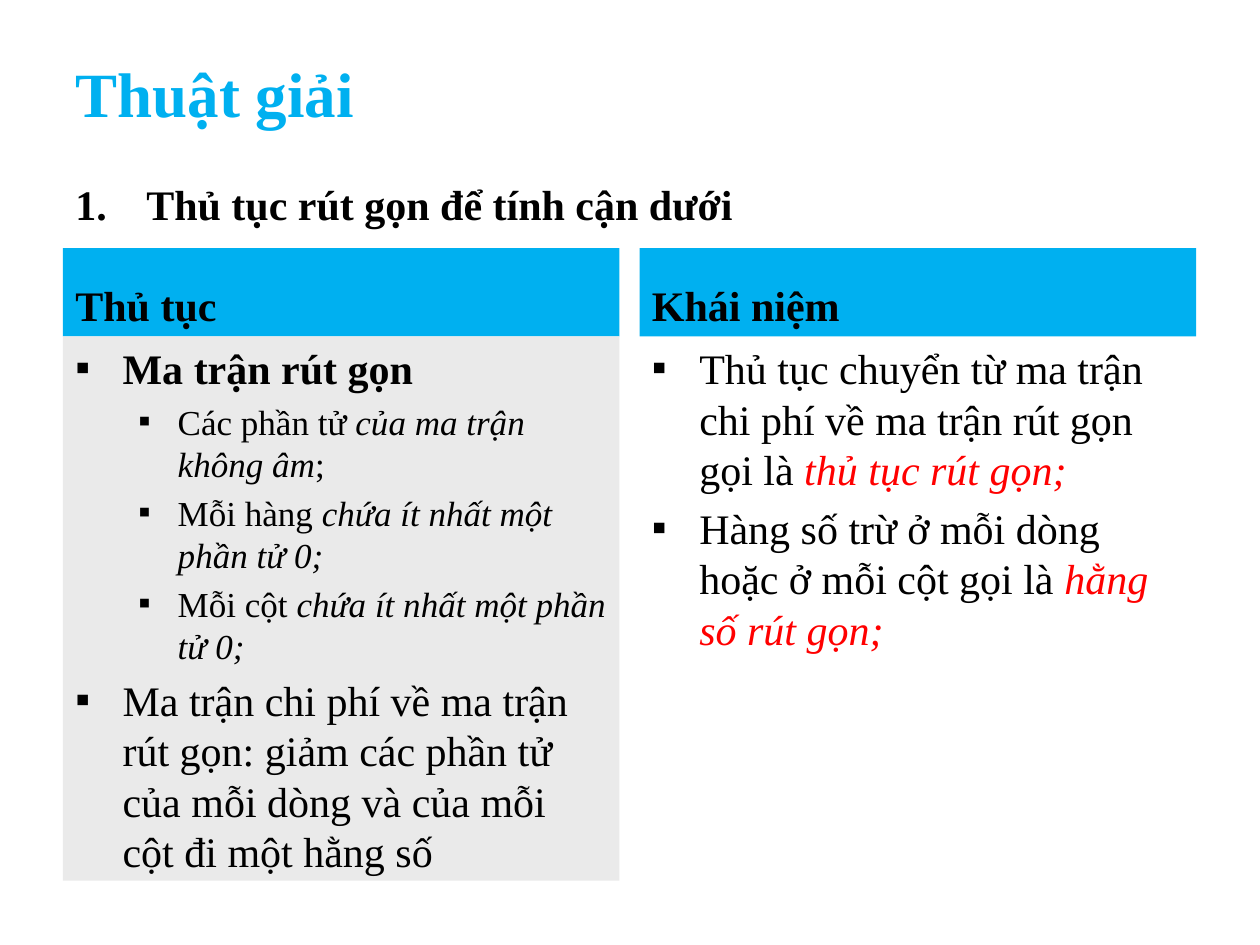
from lxml.etree import SubElement
from pptx import Presentation
from pptx.dml.color import RGBColor
from pptx.enum.text import MSO_ANCHOR, MSO_AUTO_SIZE, PP_ALIGN
from pptx.oxml.ns import qn
from pptx.util import Pt

FONT = "Times New Roman"
COLORS = {"accent": "00B0F0", "text": "000000", "panel": "EAEAEA", "term": "FF0000"}

# Content: each paragraph is (level, bold, runs); each run is (text, style)
TITLE = "Thuật giải"
HEADING = "Thủ tục rút gọn để tính cận dưới"
COLUMNS = [
    ("Thủ tục", "panel", [
        (0, True, [("Ma trận rút gọn", "plain")]),
        (1, False, [("Các phần tử ", "plain"), ("của ma trận không âm", "italic"), (";", "plain")]),
        (1, False, [("Mỗi hàng ", "plain"), ("chứa ít nhất một phần tử 0;", "italic")]),
        (1, False, [("Mỗi cột ", "plain"), ("chứa ít nhất một phần tử 0;", "italic")]),
        (0, False, [("Ma trận chi phí về ma trận rút gọn: giảm các phần tử của mỗi dòng "
                     "và của mỗi cột đi một hằng số", "plain")]),
    ]),
    ("Khái niệm", None, [
        (0, False, [("Thủ tục chuyển từ ma trận chi phí về ma trận rút gọn gọi là ", "plain"),
                    ("thủ tục rút gọn;", "term")]),
        (0, False, [("Hàng số trừ ở mỗi dòng hoặc ở mỗi cột gọi là ", "plain"),
                    ("hằng số rút gọn;", "term")]),
    ]),
]

# Layout in points
LEFT, COLUMN_WIDTH, COLUMN_GAP = 36, 318, 11.5
HEADER_TOP, HEADER_HEIGHT, BODY_HEIGHT = 141.75, 50.5, 311
# Per level: font size, left margin, hanging indent, space before
LEVELS = [(24, 27, 27, 4.8), (20, 58.5, 22.5, 4)]


def rgb(name):
    return RGBColor.from_string(COLORS[name])


def style_paragraph(paragraph, size, bold=False, color="text"):
    paragraph.alignment = PP_ALIGN.LEFT
    font = paragraph.font
    font.name, font.size, font.bold = FONT, Pt(size), bold
    font.color.rgb = rgb(color)


def add_marker(paragraph, margin, hanging, tag, **attributes):
    properties = paragraph._p.get_or_add_pPr()
    properties.set("marL", str(Pt(margin)))
    properties.set("indent", str(-Pt(hanging)))
    color = SubElement(properties, qn("a:buClr"))
    SubElement(color, qn("a:srgbClr"), val=COLORS["text"])
    SubElement(properties, qn("a:buFont"), typeface=FONT)
    SubElement(properties, qn(tag), **attributes)


def add_box(slide, left, top, width, height, fill=None, anchor=MSO_ANCHOR.TOP):
    box = slide.shapes.add_textbox(Pt(left), Pt(top), Pt(width), Pt(height))
    if fill:
        box.fill.solid()
        box.fill.fore_color.rgb = rgb(fill)
    frame = box.text_frame
    frame.word_wrap = True
    frame.auto_size = MSO_AUTO_SIZE.NONE
    frame.vertical_anchor = anchor
    return frame


def fill_body(frame, paragraphs):
    for index, (level, bold, runs) in enumerate(paragraphs):
        paragraph = frame.add_paragraph() if index else frame.paragraphs[0]
        size, margin, hanging, space = LEVELS[level]
        paragraph.level = level
        add_marker(paragraph, margin, hanging, "a:buChar", char="▪")
        paragraph.space_before = Pt(space if index else 0)
        style_paragraph(paragraph, size, bold)
        for text, style in runs:
            run = paragraph.add_run()
            run.text = text
            if style != "plain":
                run.font.italic = True
            if style == "term":
                run.font.color.rgb = rgb("term")


def main():
    presentation = Presentation()
    presentation.slide_width, presentation.slide_height = Pt(720), Pt(540)
    slide = presentation.slides.add_slide(presentation.slide_layouts[5])

    # Title
    title = slide.shapes.title
    title.left, title.top, title.width, title.height = Pt(LEFT), Pt(21.6), Pt(648), Pt(62.6)
    title.text_frame.text = TITLE
    title.text_frame.vertical_anchor = MSO_ANCHOR.MIDDLE
    style_paragraph(title.text_frame.paragraphs[0], 36, True, "accent")

    # Columns: header band over body
    for index, (header, fill, paragraphs) in enumerate(COLUMNS):
        left = LEFT + index * (COLUMN_WIDTH + COLUMN_GAP)
        frame = add_box(slide, left, HEADER_TOP, COLUMN_WIDTH, HEADER_HEIGHT,
                        "accent", MSO_ANCHOR.BOTTOM)
        frame.text = header
        style_paragraph(frame.paragraphs[0], 24, True)
        body = add_box(slide, left, HEADER_TOP + HEADER_HEIGHT, COLUMN_WIDTH, BODY_HEIGHT, fill)
        fill_body(body, paragraphs)

    # Numbered heading
    frame = add_box(slide, LEFT, 84.25, 624, 45.4)
    frame.text = HEADING
    paragraph = frame.paragraphs[0]
    add_marker(paragraph, 40.5, 40.5, "a:buAutoNum", type="arabicPeriod")
    paragraph.line_spacing = 1.5
    style_paragraph(paragraph, 24, True)

    presentation.save("out.pptx")


if __name__ == "__main__":
    main()
